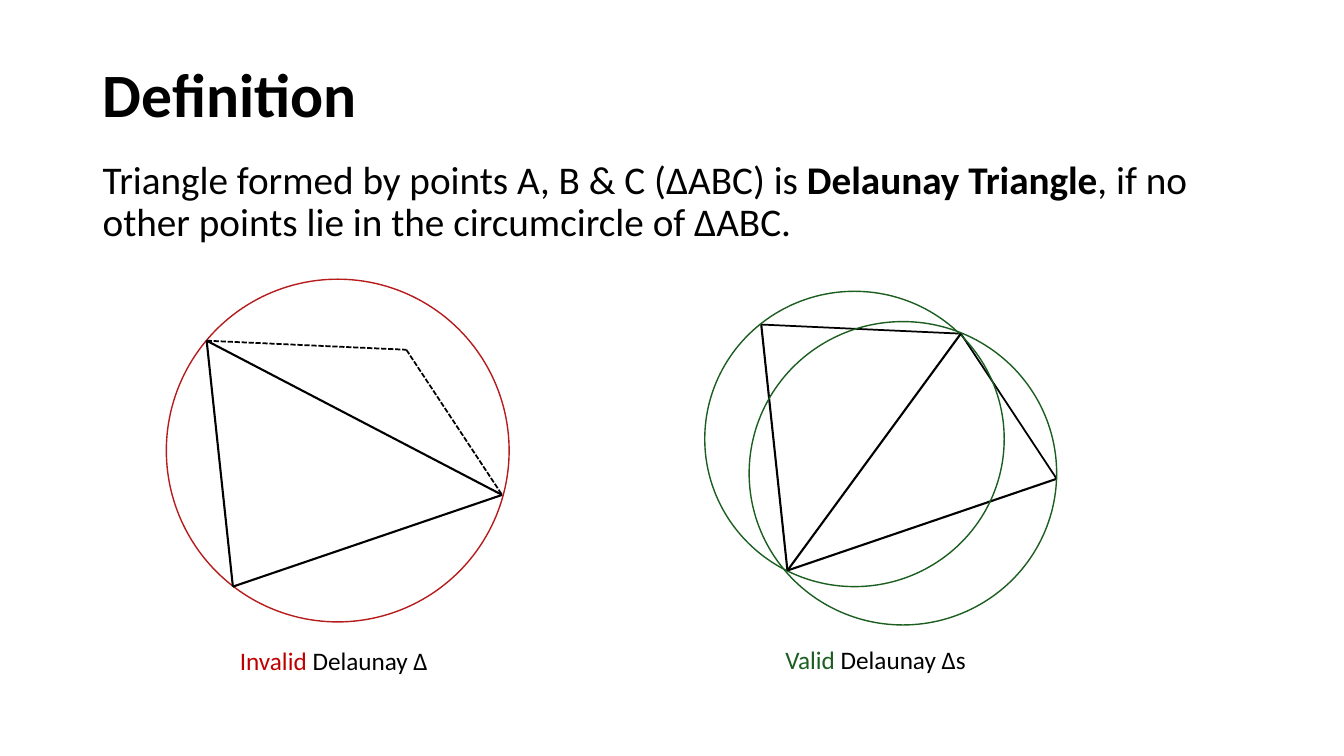
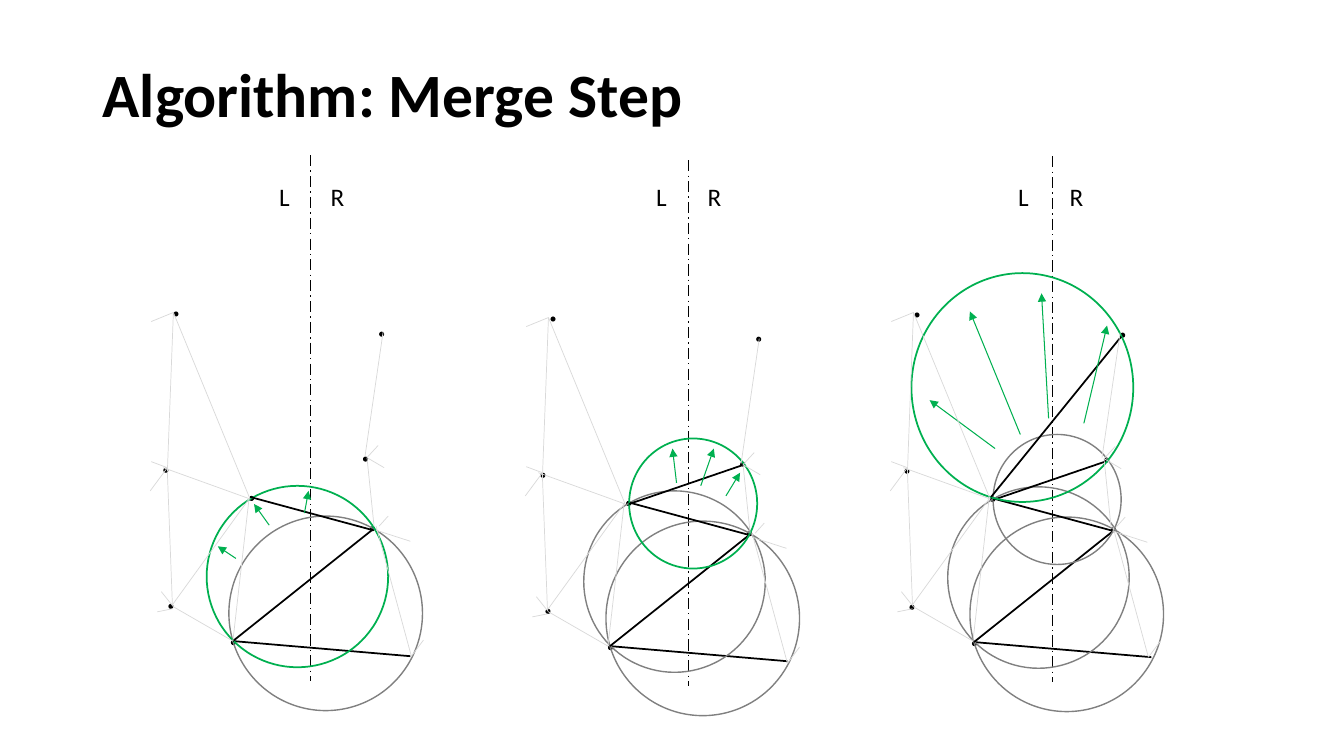
from dataclasses import dataclass
from itertools import pairwise

from lxml.etree import SubElement
from pptx import Presentation
from pptx.dml.color import RGBColor
from pptx.enum.dml import MSO_LINE_DASH_STYLE as Dash
from pptx.enum.shapes import MSO_CONNECTOR as Connector, MSO_SHAPE as Shape
from pptx.enum.text import MSO_ANCHOR as Anchor
from pptx.oxml.ns import qn
from pptx.util import Inches, Pt


@dataclass(frozen=True)
class Theme:
    font: str = "Calibri"
    ink: str = "000000"
    red: str = "C00000"
    red_line: str = "B71C1C"
    dark_green: str = "1B5E20"
    green: str = "00B050"
    grey: str = "808080"
    mesh: str = "D9D9D9"
    title_size: float = 44
    body_size: float = 28
    label_size: float = 18
    bold_line: float = 1.5
    edge_line: float = 1.25
    thin_line: float = 1
    arrow_line: float = 0.75
    mesh_line: float = 0.5


THEME = Theme()


def write_text(frame, runs, *, size, line_spacing=None, space_before=None):
    """Fill a text frame with runs of (text, colour, bold)."""
    paragraph = frame.paragraphs[0]
    paragraph.line_spacing = line_spacing
    if space_before is not None:
        paragraph.space_before = Pt(space_before)
    for text, colour, bold in runs:
        run = paragraph.add_run()
        run.text = text
        run.font.name = THEME.font
        run.font.size = Pt(size)
        run.font.bold = bold
        run.font.color.rgb = RGBColor.from_string(colour)


def shift(point, offset):
    return point[0] + offset[0], point[1] + offset[1]


class Deck:
    def __init__(self):
        self.presentation = Presentation()
        self.presentation.slide_width = Inches(13.33)
        self.presentation.slide_height = Inches(7.5)
        self.slide = None

    def new_slide(self, title):
        self.slide = self.presentation.slides.add_slide(
            self.presentation.slide_layouts[6])
        self.text((0.92, 0.4, 11.5, 1.14), [(title, THEME.ink, True)],
                  anchor=Anchor.MIDDLE, size=THEME.title_size, line_spacing=0.9)

    def text(self, box, runs, *, anchor=Anchor.TOP, **text_format):
        frame = self.slide.shapes.add_textbox(*map(Inches, box)).text_frame
        frame.word_wrap = True
        frame.vertical_anchor = anchor
        write_text(frame, runs, **text_format)

    def label(self, box, *runs):
        self.text(box, [(text, colour, False) for text, colour in runs],
                  size=THEME.label_size)

    def ellipse(self, box):
        shape = self.slide.shapes.add_shape(Shape.OVAL, *map(Inches, box))
        shape.shadow.inherit = False
        return shape

    def circle(self, box, colour, width=THEME.thin_line):
        shape = self.ellipse(box)
        shape.fill.background()
        shape.line.color.rgb = RGBColor.from_string(colour)
        shape.line.width = Pt(width)

    def dot(self, corner):
        shape = self.ellipse((*corner, 0.05, 0.05))
        shape.fill.solid()
        shape.fill.fore_color.rgb = RGBColor.from_string(THEME.ink)
        shape.line.fill.background()

    def line(self, start, end, *, colour=THEME.ink, width=THEME.edge_line,
             dash=None, arrow=False):
        connector = self.slide.shapes.add_connector(
            Connector.STRAIGHT, *map(Inches, (*start, *end)))
        connector.line.color.rgb = RGBColor.from_string(colour)
        connector.line.width = Pt(width)
        if dash is not None:
            connector.line.dash_style = dash
        if arrow:
            SubElement(connector.line._get_or_add_ln(), qn("a:tailEnd"), type="triangle")
        SubElement(connector._element.spPr, qn("a:effectLst"))

    def polyline(self, points, **line_format):
        for start, end in pairwise(points):
            self.line(start, end, **line_format)


# Definition: the same four points, triangulated in two ways
TOP_LEFT, BOTTOM, RIGHT, TOP = QUAD = (2.05, 3.38), (2.31, 5.82), (4.98, 4.91), (4.03, 3.47)
VALID_OFFSET = (5.5, -0.16)


def definition_slide(deck):
    deck.new_slide("Definition")
    deck.text((0.92, 1.54, 11.5, 5.21), [
        ("Triangle formed by points A, B & C (ΔABC) is ", THEME.ink, False),
        ("Delaunay Triangle", THEME.ink, True),
        (", if no other points lie in the circumcircle of ΔABC.", THEME.ink, False),
    ], size=THEME.body_size, line_spacing=0.9, space_before=10)

    # Invalid triangle: the dashed point lies in its circumcircle
    deck.circle((1.65, 2.77, 3.4, 3.4), THEME.red_line)
    deck.polyline((TOP_LEFT, BOTTOM, RIGHT, TOP_LEFT), width=THEME.bold_line)
    deck.polyline((TOP_LEFT, TOP, RIGHT), dash=Dash.SQUARE_DOT)

    # Valid triangles: each circumcircle is empty
    top_left, bottom, right, top = (shift(point, VALID_OFFSET) for point in QUAD)
    deck.polyline((top_left, bottom, right), width=THEME.bold_line)
    deck.polyline((top_left, top, right))
    for box in ((6.99, 2.89, 2.97, 2.93), (7.43, 3.19, 3.05, 3.01)):
        deck.circle(box, THEME.dark_green)
    deck.line(bottom, top, width=THEME.bold_line)

    # Captions
    deck.label((2.28, 6.35, 2.14, 0.4), ("Invalid", THEME.red), (" Delaunay Δ", THEME.ink))
    deck.label((7.69, 6.34, 2.14, 0.4), ("Valid", THEME.dark_green), (" Delaunay Δs", THEME.ink))


# Merge step: geometry of the first panel, which the others shift
DOTS = [(2.29, 6.35), (3.67, 5.22), (3.6, 4.53), (3.76, 3.29),
        (1.67, 5.99), (1.62, 4.64), (1.72, 3.09), (2.47, 4.92)]
BASE = (2.31, 6.36)
# Each merge adds a circumcircle and the edges found with it
MERGES = [
    ((2.27, 5.12, 1.92, 1.93), [(BASE, (4.07, 6.51))]),
    ((2.05, 4.82, 1.8, 1.8), [(BASE, (3.7, 5.25)), ((2.48, 4.93), (3.7, 5.26))]),
    ((2.5, 4.3, 1.27, 1.29), [((2.5, 4.95), (3.61, 4.57))]),
    ((1.69, 2.7, 2.2, 2.27), [((2.48, 4.92), (3.77, 3.33))]),
]
LEFT_MESH = [
    [(1.72, 3.1), (2.48, 4.95), (1.62, 4.64)],
    [(1.5, 3.19), (1.72, 3.1), (1.66, 4.68), (1.71, 6), (2.47, 4.95),
     (2.31, 6.36), (1.72, 6.02), (1.6, 5.87)],
    [(1.5, 4.58), (1.66, 4.64), (1.49, 4.87)],
    [(1.71, 6.04), (1.56, 6.07)],
]
RIGHT_MESH = [
    [(3.8, 3.29), (3.62, 4.53)],
    [(3.64, 4.54), (3.71, 5.22)],
    [(3.73, 5.22), (4.08, 6.51), (4.2, 6.35)],
    [(3.76, 5.22), (3.85, 5.12)],
    [(3.81, 4.64), (3.64, 4.54), (3.75, 4.42)],
    [(3.73, 5.26), (4.07, 5.37)],
]


@dataclass(frozen=True)
class Panel:
    merges: int
    offset: tuple
    left_offset: tuple
    right_offset: tuple
    label_left: float
    axis: float
    arrows: tuple


PANELS = [
    Panel(2, (0, 0), (0, 0), (0, 0), 2.67, 3.08, (
        ((2.67, 5.21), (2.52, 5)), ((2.34, 5.54), (2.16, 5.42)),
        ((3.02, 5.09), (3.06, 4.87)))),
    Panel(3, (3.74, 0.05), (3.72, 0.05), (-0.27 + 4, 0.07), 6.41, 6.83, (
        ((6.95, 4.82), (7.08, 4.45)), ((6.71, 4.79), (6.67, 4.45)),
        ((7.2, 4.92), (7.34, 4.69)))),
    Panel(4, (7.35, 0.01), (7.34, 0), (7.31, 0.01), 10, 10.44, (
        ((10.12, 4.31), (9.62, 3.09)), ((10.4, 4.15), (10.33, 2.91)),
        ((10.75, 4.2), (10.98, 3.23)), ((9.87, 4.45), (9.22, 3.97)))),
]


def draw_panel(deck, panel):
    # Dividing line and points
    top = 1.54 + panel.offset[1]
    deck.line((panel.axis, top), (panel.axis, top + 5.22),
              width=THEME.thin_line, dash=Dash.LONG_DASH_DOT)
    for corner in DOTS:
        deck.dot(shift(corner, panel.offset))

    # Circumcircles and merged edges, the newest circle in green
    for number, (box, edges) in enumerate(MERGES[:panel.merges], start=1):
        newest = number == panel.merges
        deck.circle((*shift(box[:2], panel.offset), *box[2:]),
                    THEME.green if newest else THEME.grey,
                    THEME.edge_line if newest else THEME.thin_line)
        for edge in edges:
            deck.polyline([shift(point, panel.offset) for point in edge])

    # Search directions
    for start, end in panel.arrows:
        deck.line(start, end, colour=THEME.green, width=THEME.arrow_line, arrow=True)

    # Existing triangulations on both sides
    for mesh, offset in ((LEFT_MESH, panel.left_offset), (RIGHT_MESH, panel.right_offset)):
        for points in mesh:
            deck.polyline([shift(point, offset) for point in points],
                          colour=THEME.mesh, width=THEME.mesh_line)

    # Side labels
    for column, name in enumerate("LR"):
        deck.label((panel.label_left + 0.51 * column, 1.75, 0.42, 0.4), (name, THEME.ink))


def merge_slide(deck):
    deck.new_slide("Algorithm: Merge Step")
    for panel in PANELS:
        draw_panel(deck, panel)


def main():
    deck = Deck()
    definition_slide(deck)
    merge_slide(deck)
    deck.presentation.save("out.pptx")


if __name__ == "__main__":
    main()
